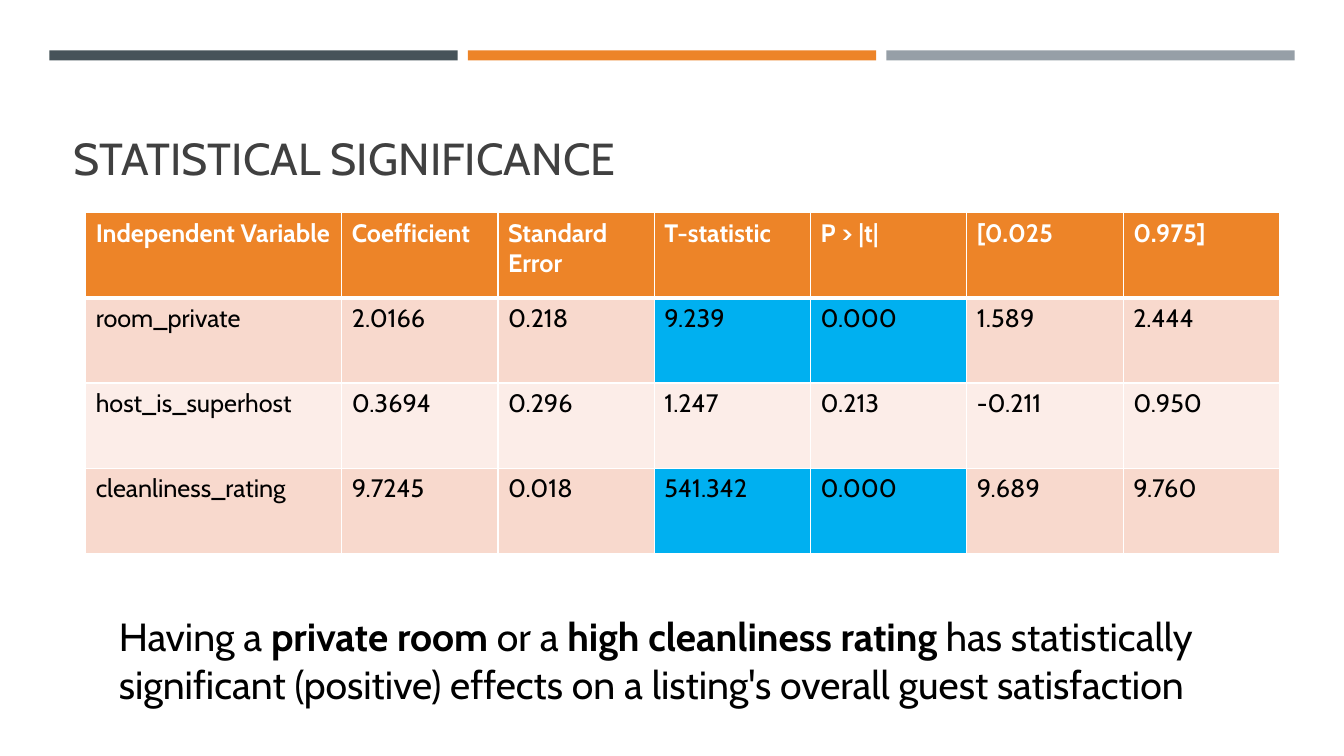
from lxml.etree import SubElement
from pptx import Presentation
from pptx.dml.color import RGBColor
from pptx.enum.shapes import MSO_SHAPE as Preset
from pptx.enum.text import MSO_ANCHOR as Anchor
from pptx.oxml.ns import qn
from pptx.util import Inches, Pt

FONT = "Cabin"
COLORS = {
    "slate": "465359",
    "orange": "ED8428",
    "gray": "969FA7",
    "title": "404040",
    "white": "FFFFFF",
    "black": "000000",
    "band_dark": "F8D9CD",
    "band_light": "FCEDE8",
    "highlight": "00B0F0",
}
HEADERS = ["Independent Variable", "Coefficient", "Standard Error",
           "T-statistic", "P > |t|", "[0.025", "0.975]"]
REGRESSION = [
    ["room_private", "2.0166", "0.218", "9.239", "0.000", "1.589", "2.444"],
    ["host_is_superhost", "0.3694", "0.296", "1.247", "0.213", "-0.211", "0.950"],
    ["cleanliness_rating", "9.7245", "0.018", "541.342", "0.000", "9.689", "9.760"],
]
SIGNIFICANT_ROWS = {1, 3}
TEST_COLUMNS = {3, 4}
CONCLUSION = [
    ("Having a ", False),
    ("private room", True),
    (" or a\u00a0", False),
    ("high cleanliness rating", True),
    (" has statistically significant (positive) effects on a listing's "
     "overall guest satisfaction", False),
]


def rgb(name):
    return RGBColor.from_string(COLORS[name])


def add_run(paragraph, text, size, color, bold=False):
    run = paragraph.add_run()
    run.text = text
    run.font.name = FONT
    run.font.size = Pt(size)
    run.font.bold = bold
    run.font.color.rgb = rgb(color)


def add_bar(slide, left, color):
    bar = slide.shapes.add_shape(
        Preset.RECTANGLE, Inches(left), Inches(0.5), Inches(4.05), Inches(0.1))
    bar.shadow.inherit = False
    bar.fill.solid()
    bar.fill.fore_color.rgb = rgb(color)
    bar.line.fill.background()


def add_text(slide, box, runs, size, color, anchor=Anchor.TOP):
    """Add a one-paragraph text box from (text, bold) pairs."""
    frame = slide.shapes.add_textbox(*map(Inches, box)).text_frame
    frame.word_wrap = True
    frame.vertical_anchor = anchor
    for text, bold in runs:
        add_run(frame.paragraphs[0], text, size, color, bold)


def add_border(cell, side, width):
    line = SubElement(cell._tc.get_or_add_tcPr(), qn(f"a:ln{side}"), w=str(Pt(width)))
    fill = SubElement(line, qn("a:solidFill"))
    SubElement(fill, qn("a:srgbClr"), val=COLORS["white"])


def cell_color(row, column):
    if row == 0:
        return "orange"
    if row in SIGNIFICANT_ROWS and column in TEST_COLUMNS:
        return "highlight"
    return "band_dark" if row % 2 else "band_light"


def style_cell(cell, row, column):
    # Borders come before the fill in the cell's properties.
    for side in "LRTB":
        under_header = (row, side) in {(0, "B"), (1, "T")}
        add_border(cell, side, 3 if under_header else 1)
    cell.fill.solid()
    cell.fill.fore_color.rgb = rgb(cell_color(row, column))


def add_regression_table(slide):
    rows = [HEADERS] + REGRESSION
    table = slide.shapes.add_table(
        len(rows), len(HEADERS),
        Inches(0.85), Inches(2.11), Inches(11.84), Inches(3.38)).table
    for index, column in enumerate(table.columns):
        column.width = Inches(1.55 if index else 2.54)
    for row, texts in enumerate(rows):
        for column, text in enumerate(texts):
            cell = table.cell(row, column)
            style_cell(cell, row, column)
            is_header = row == 0
            add_run(cell.text_frame.paragraphs[0], text, 18,
                    "white" if is_header else "black", is_header)


def main():
    deck = Presentation()
    deck.slide_width, deck.slide_height = Inches(13.33), Inches(7.5)
    slide = deck.slides.add_slide(deck.slide_layouts[6])
    for index, color in enumerate(["slate", "orange", "gray"]):
        add_bar(slide, 0.49 + index * 4.15, color)
    add_text(slide, (0.63, 0.8, 12.06, 1.08), [("STATISTICAL SIGNIFICANCE", False)],
             32, "title", Anchor.BOTTOM)
    add_regression_table(slide)
    add_text(slide, (1.08, 6.03, 11.15, 1.04), CONCLUSION, 28, "black")
    deck.save("out.pptx")


if __name__ == "__main__":
    main()
